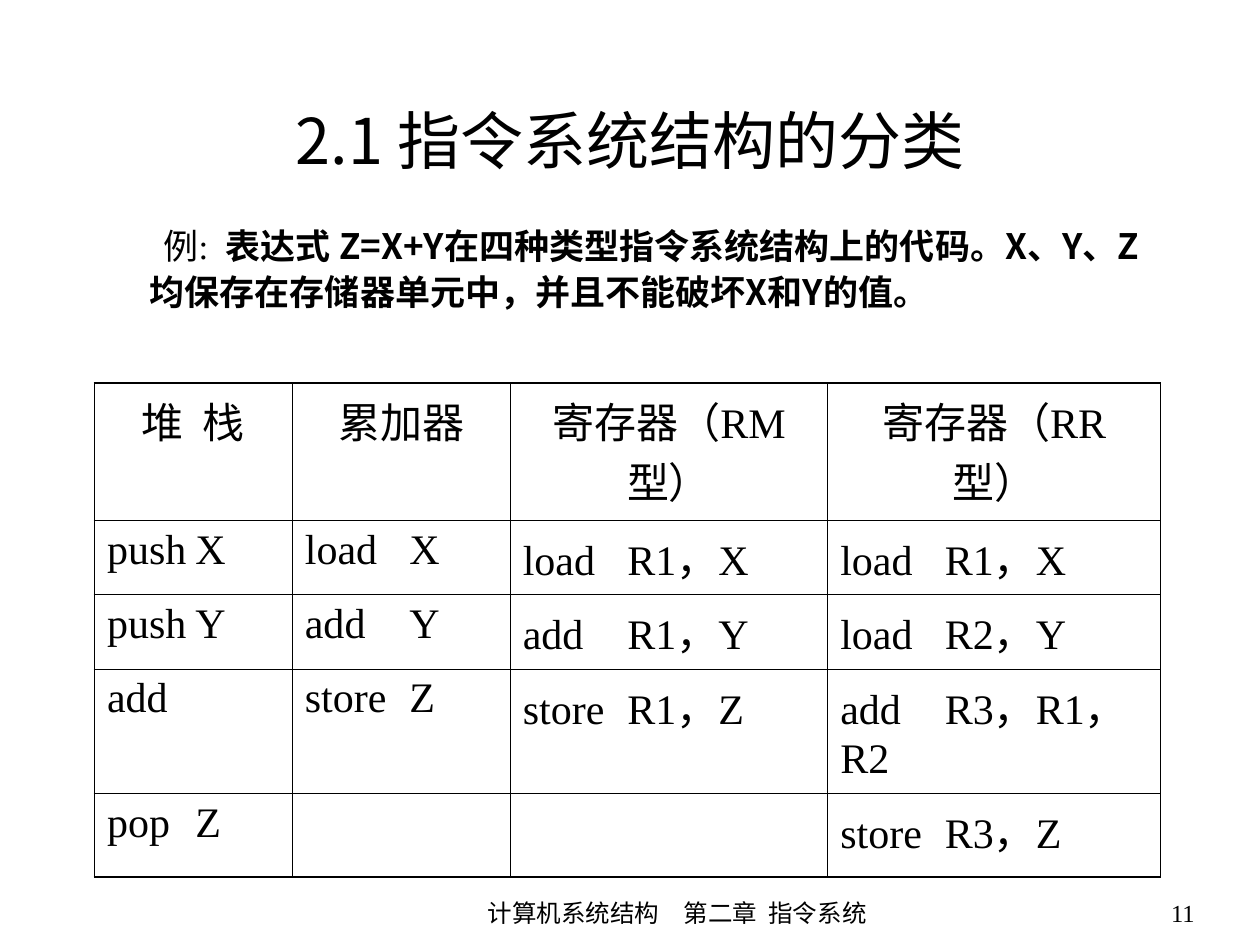
from lxml import etree
from pptx import Presentation
from pptx.dml.color import RGBColor
from pptx.enum.text import MSO_ANCHOR, MSO_AUTO_SIZE, PP_ALIGN
from pptx.oxml.ns import qn
from pptx.util import Inches, Pt

LEFT, CENTER, RIGHT = PP_ALIGN.LEFT, PP_ALIGN.CENTER, PP_ALIGN.RIGHT
BLACK = RGBColor(0, 0, 0)
SERIF, SANS = "Times New Roman", "Noto Sans CJK SC"
THIN, THICK = Pt(0.45), Pt(1.08)


def add_text(paragraph, text, size, font_name=SERIF, bold=False):
    """Append a black run whose Chinese characters use the sans font."""
    run = paragraph.add_run()
    run.text = text
    run.font.color.rgb = BLACK
    formats = {"size": Pt(size), "name": font_name, "bold": bold}
    for name, value in formats.items():
        setattr(run.font, name, value)
    east_asian = etree.Element(qn("a:ea"), typeface=SANS)
    run.font._element.find(qn("a:latin")).addnext(east_asian)


def set_borders(cell, widths):
    """Draw black borders; widths maps the sides L, R, T and B, in that order."""
    properties = cell._tc.get_or_add_tcPr()
    for position, (side, width) in enumerate(widths.items()):
        line = etree.Element(qn(f"a:ln{side}"), w=str(int(width)))
        fill = etree.SubElement(line, qn("a:solidFill"))
        etree.SubElement(fill, qn("a:srgbClr"), val=str(BLACK))
        properties.insert(position, line)


presentation = Presentation()
presentation.slide_width = Inches(10)
presentation.slide_height = Inches(7.5)
slide = presentation.slides.add_slide(presentation.slide_layouts[5])

# Title
title = slide.shapes.title
title.left, title.top = Inches(0.75), Inches(0.21)
title.width, title.height = Inches(8.5), Inches(1.25)
title.text_frame.vertical_anchor = MSO_ANCHOR.BOTTOM
title.text_frame.auto_size = MSO_AUTO_SIZE.NONE
title_paragraph = title.text_frame.paragraphs[0]
title_paragraph.alignment = CENTER
add_text(title_paragraph, "2.1 指令系统结构的分类", 36, SANS)

# Example and footer texts: left, top, width, height, alignment, runs
EXAMPLE = "表达式 Z=X+Y在四种类型指令系统结构上的代码。X、Y、Z均保存在存储器单元中，并且不能破坏X和Y的值。"
texts = [
    (0.59, 1.7, 8.74, 1.65, LEFT, [("例:  ", 20), (EXAMPLE, 20, SANS, True)]),
    (3, 7.08, 4.75, 0.42, CENTER, [("计算机系统结构　第二章  指令系统", 14)]),
    (8.08, 7.08, 1.5, 0.42, RIGHT, [("11", 14)]),
]
paragraphs = []
for left, top, width, height, alignment, runs in texts:
    box = slide.shapes.add_textbox(Inches(left), Inches(top), Inches(width), Inches(height))
    box.text_frame.word_wrap = True
    paragraph = box.text_frame.paragraphs[0]
    paragraph.alignment = alignment
    for run in runs:
        add_text(paragraph, *run)
    paragraphs.append(paragraph)

example_paragraph = paragraphs[0]
example_paragraph.line_spacing = 1.1
example_paragraph.space_before = Pt(5)
example_properties = example_paragraph._p.get_or_add_pPr()
example_properties.set("marL", str(Inches(0.5)))
example_properties.set("indent", str(Inches(0.11)))

# Code table: a tab separates each operation from its operands
rows = [
    ["堆  栈", "累加器", "寄存器（RM型）", "寄存器（RR型）"],
    ["push\tX", "load\tX", "load\tR1，X", "load\tR1，X"],
    ["push\tY", "add\tY", "add\tR1，Y", "load\tR2，Y"],
    ["add", "store\tZ", "store\tR1，Z", "add\tR3，R1，R2"],
    ["pop\tZ", "", "", "store\tR3，Z"],
]
column_widths = [1.57, 1.73, 2.52, 2.64]
row_heights = [1.09, 0.59, 0.59, 0.99, 0.66]
operand_stops = [0.7, 0.83, 0.83, 0.83]
last_row, last_column = len(rows) - 1, len(column_widths) - 1

table = slide.shapes.add_table(
    len(rows), len(column_widths), Inches(0.75), Inches(3.04),
    Inches(sum(column_widths)), Inches(sum(row_heights)),
).table
table.first_row = table.horz_banding = False
for column, width in zip(table.columns, column_widths):
    column.width = Inches(width)
for row, height in zip(table.rows, row_heights):
    row.height = Inches(height)

for row_index, row_texts in enumerate(rows):
    for column_index, text in enumerate(row_texts):
        cell = table.cell(row_index, column_index)
        cell.fill.background()
        set_borders(cell, {
            "L": THICK if column_index == 0 else THIN,
            "R": THICK if column_index == last_column else THIN,
            "T": THICK if row_index == 0 else THIN,
            "B": THICK if row_index == last_row else THIN,
        })
        if not text:
            continue
        paragraph = cell.text_frame.paragraphs[0]
        paragraph.alignment = CENTER if row_index == 0 else LEFT
        paragraph.space_before = Pt(6)
        add_text(paragraph, text, 24)
        if "\t" in text:
            tab_list = etree.SubElement(paragraph._p.get_or_add_pPr(), qn("a:tabLst"))
            stop = Inches(operand_stops[column_index])
            etree.SubElement(tab_list, qn("a:tab"), pos=str(stop), algn="l")

presentation.save("out.pptx")
